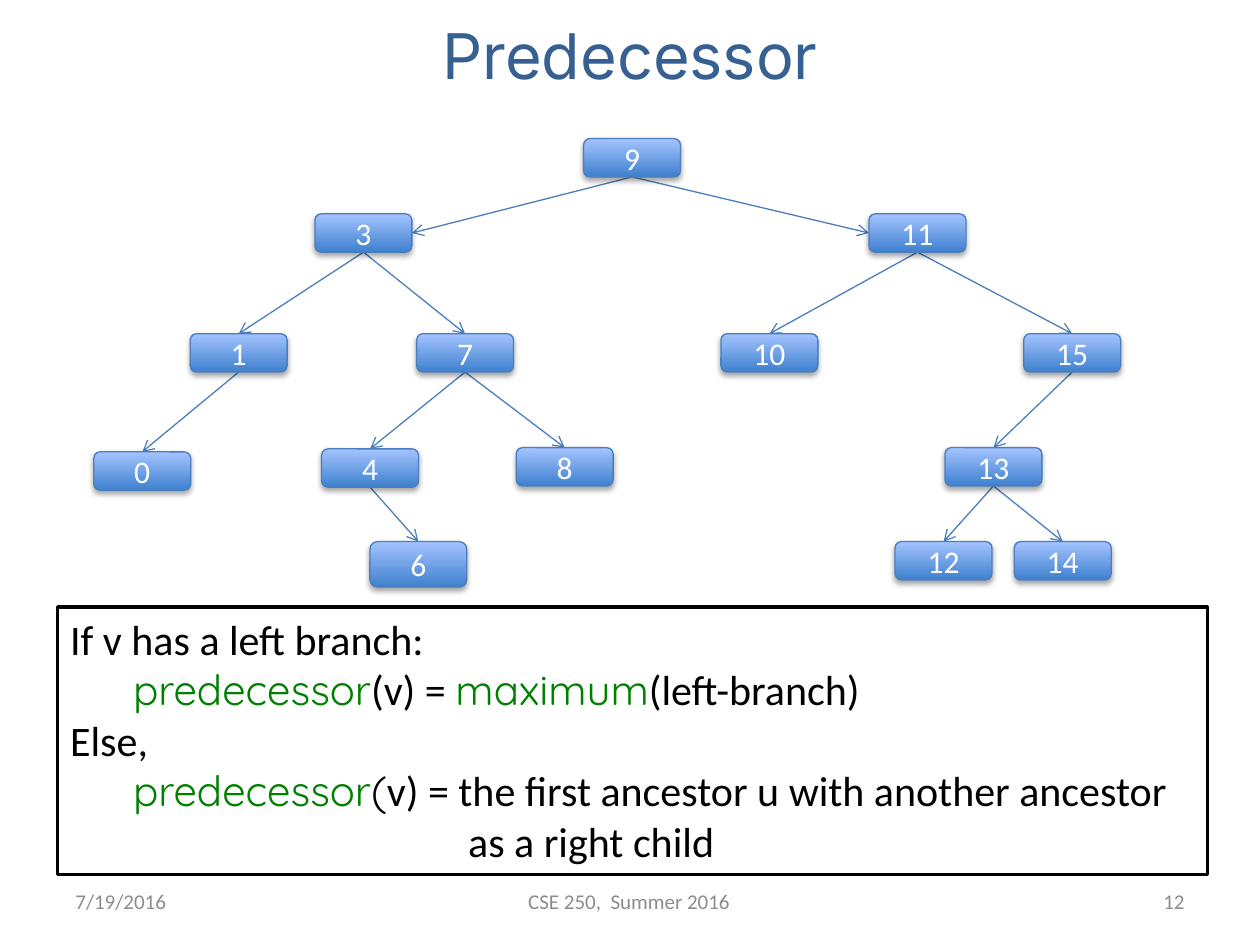
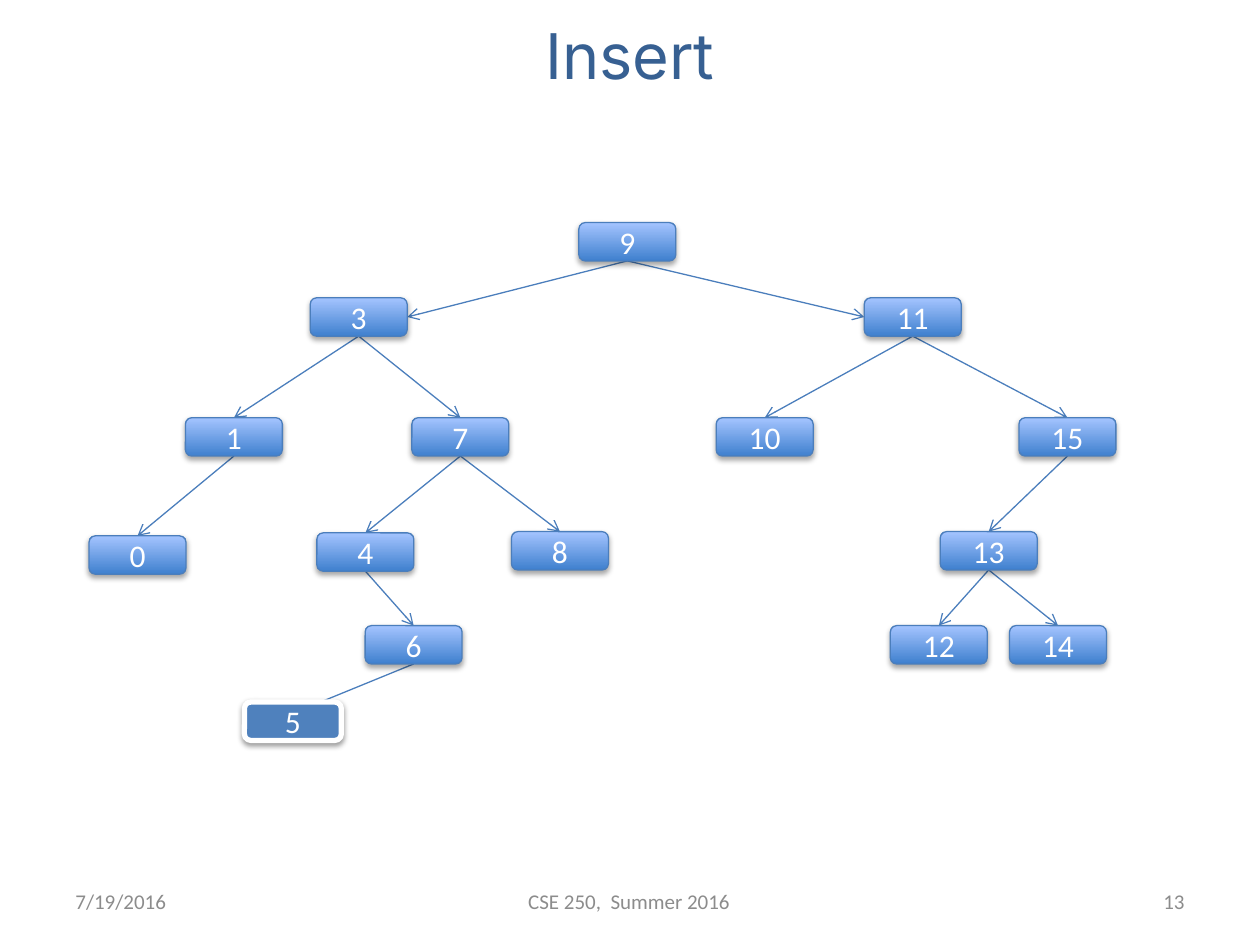
import lxml.etree
import pptx
import pptx.dml.color
import pptx.enum.shapes
import pptx.enum.text
import pptx.oxml.ns
import pptx.util

Pt = pptx.util.Pt
qn = pptx.oxml.ns.qn
ALIGN = pptx.enum.text.PP_ALIGN
MIDDLE = pptx.enum.text.MSO_ANCHOR.MIDDLE
SHAPES = pptx.enum.shapes.MSO_SHAPE

TITLE_BLUE, LINE_BLUE, NEW_BLUE = "376092", "4B7EBC", "4F81BD"
GRADIENT = ("3F80CE", "A4C4FF")
BLACK, WHITE, GREY, GREEN = "000000", "FFFFFF", "8C8C8C", "008000"

NODE_WIDTH, NODE_HEIGHT = 55.4, 21.9

# Left and top of every tree node, by its key
TREE = {
    "9": (333.5, 79.2),
    "3": (180, 122.2), "11": (496.6, 122.2),
    "1": (108.7, 190.7), "7": (238.1, 190.7), "10": (412, 190.7), "15": (585, 190.7),
    "0": (53.6, 258.2), "4": (183.8, 256.5), "8": (295, 255.8), "13": (540, 255.8),
    "6": (211.4, 309.5), "12": (511.5, 309.5), "14": (579.6, 309.5),
}
CHILDREN = {
    "9": ["3", "11"], "3": ["1", "7"], "11": ["10", "15"], "1": ["0"],
    "7": ["4", "8"], "15": ["13"], "4": ["6"], "13": ["12", "14"],
}
NEW_KEY, NEW_PLACE = "5", (139.7, 401.2)

# title, number, shift of the tree, height of node 6
SLIDES = [
    ("Predecessor", "12", (0, 0), 26),
    ("Insert", "13", (-2.7, 48), NODE_HEIGHT),
]

# Indent and runs (text, font, colour) of each rule line
RULES = [
    (0, [("If v has a left branch:", "Calibri", BLACK)]),
    (36, [("predecessor", "Quicksand", GREEN), ("(v) = ", "Calibri", BLACK),
          ("maximum", "Quicksand", GREEN), ("(left-branch)", "Calibri", BLACK)]),
    (0, [("Else,", "Calibri", BLACK)]),
    (36, [("predecessor", "Quicksand", GREEN), ("(", "Quicksand", BLACK),
          ("v) = the first ancestor u with another ancestor", "Calibri", BLACK)]),
    (227.5, [("as a right child", "Calibri", BLACK)]),
]


def colour(hex_string):
    """Turn a hex string into a colour."""
    return pptx.dml.color.RGBColor.from_string(hex_string)


def write(shape, text, size, font_name, hex_string, alignment):
    """Write one vertically centred line of text into a shape."""
    shape.text_frame.word_wrap = True
    shape.text_frame.vertical_anchor = MIDDLE
    paragraph = shape.text_frame.paragraphs[0]
    paragraph.text = text
    paragraph.alignment = alignment
    paragraph.font.size = Pt(size)
    paragraph.font.name = font_name
    paragraph.font.color.rgb = colour(hex_string)


presentation = pptx.Presentation()
presentation.slide_width, presentation.slide_height = Pt(720), Pt(540)

for title, number, (shift_x, shift_y), height_of_6 in SLIDES:
    slide = presentation.slides.add_slide(presentation.slide_layouts[6])

    # Title and footer
    title_box = slide.shapes.add_textbox(Pt(0), Pt(5), Pt(720), Pt(52.6))
    write(title_box, title, 36, "Inter", TITLE_BLUE, ALIGN.CENTER)
    for left, width, text, alignment in [
        (36, 168, "7/19/2016", ALIGN.LEFT),
        (210, 299, "CSE 250,  Summer 2016", ALIGN.CENTER),
        (516, 168, number, ALIGN.RIGHT),
    ]:
        footer = slide.shapes.add_textbox(Pt(left), Pt(500.5), Pt(width), Pt(28.75))
        write(footer, text, 12, "Calibri", GREY, alignment)

    # Nodes and edges of this slide's tree
    nodes = {key: (x + shift_x, y + shift_y) for key, (x, y) in TREE.items()}
    edges = []
    for parent, children in CHILDREN.items():
        start = (nodes[parent][0] + NODE_WIDTH / 2, nodes[parent][1] + NODE_HEIGHT)
        for child in children:
            x, y = nodes[child]
            if parent == "9":  # the root's edges meet the inner sides
                end = (x + NODE_WIDTH if child == "3" else x, y + NODE_HEIGHT / 2)
            else:
                end = (x + NODE_WIDTH / 2, y)
            edges.append((start, end))
    if title == "Insert":
        nodes[NEW_KEY] = NEW_PLACE
        x, y = nodes["6"]
        edges.append(((x + NODE_WIDTH / 2, y + NODE_HEIGHT), (171.4, 406)))

    for start, end in edges:
        edge = slide.shapes.add_connector(
            pptx.enum.shapes.MSO_CONNECTOR.STRAIGHT, *map(Pt, start + end))
        edge.line.color.rgb = colour(LINE_BLUE)
        edge.line.width = Pt(0.75)
        lxml.etree.SubElement(edge.line._get_or_add_ln(), qn("a:tailEnd"), type="arrow")
        lxml.etree.SubElement(edge._element.spPr, qn("a:effectLst"))

    for key, (x, y) in nodes.items():
        is_new = key == NEW_KEY
        height = height_of_6 if key == "6" else NODE_HEIGHT
        node = slide.shapes.add_shape(
            SHAPES.ROUNDED_RECTANGLE, Pt(x), Pt(y), Pt(NODE_WIDTH), Pt(height))
        if is_new:
            node.fill.solid()
            node.fill.fore_color.rgb = colour(NEW_BLUE)
        else:
            node.fill.gradient()
            node.fill.gradient_angle = 90
            for stop, hex_string in zip(node.fill.gradient_stops, GRADIENT):
                stop.color.rgb = colour(hex_string)
        node.line.color.rgb = colour(WHITE if is_new else LINE_BLUE)
        node.line.width = Pt(3 if is_new else 0.75)
        node.shadow.inherit = False
        shadow = lxml.etree.SubElement(
            node._element.spPr.find(qn("a:effectLst")), qn("a:outerShdw"),
            blurRad=str(Pt(3.1)), dist=str(Pt(1.6 if is_new else 1.8)),
            dir="5400000", rotWithShape="0")
        black = lxml.etree.SubElement(shadow, qn("a:srgbClr"), val=BLACK)
        lxml.etree.SubElement(black, qn("a:alpha"), val="38000" if is_new else "35000")
        write(node, key, 18, "Calibri", WHITE, ALIGN.CENTER)

    # The rule for finding a predecessor
    if title == "Predecessor":
        box = slide.shapes.add_shape(
            SHAPES.RECTANGLE, Pt(33), Pt(347), Pt(657), Pt(152.7))
        box.shadow.inherit = False
        box.fill.solid()
        box.fill.fore_color.rgb = colour(WHITE)
        box.line.color.rgb = colour(BLACK)
        box.line.width = Pt(2)
        frame = box.text_frame
        frame.word_wrap = True
        frame.vertical_anchor = pptx.enum.text.MSO_ANCHOR.TOP
        for index, (indent, runs) in enumerate(RULES):
            paragraph = frame.add_paragraph() if index else frame.paragraphs[0]
            paragraph.alignment = ALIGN.LEFT
            paragraph.font.size = Pt(24)
            paragraph._p.get_or_add_pPr().set("marL", str(Pt(indent)))
            for text, font_name, hex_string in runs:
                run = paragraph.add_run()
                run.text = text
                run.font.name = font_name
                run.font.color.rgb = colour(hex_string)

presentation.save("out.pptx")
